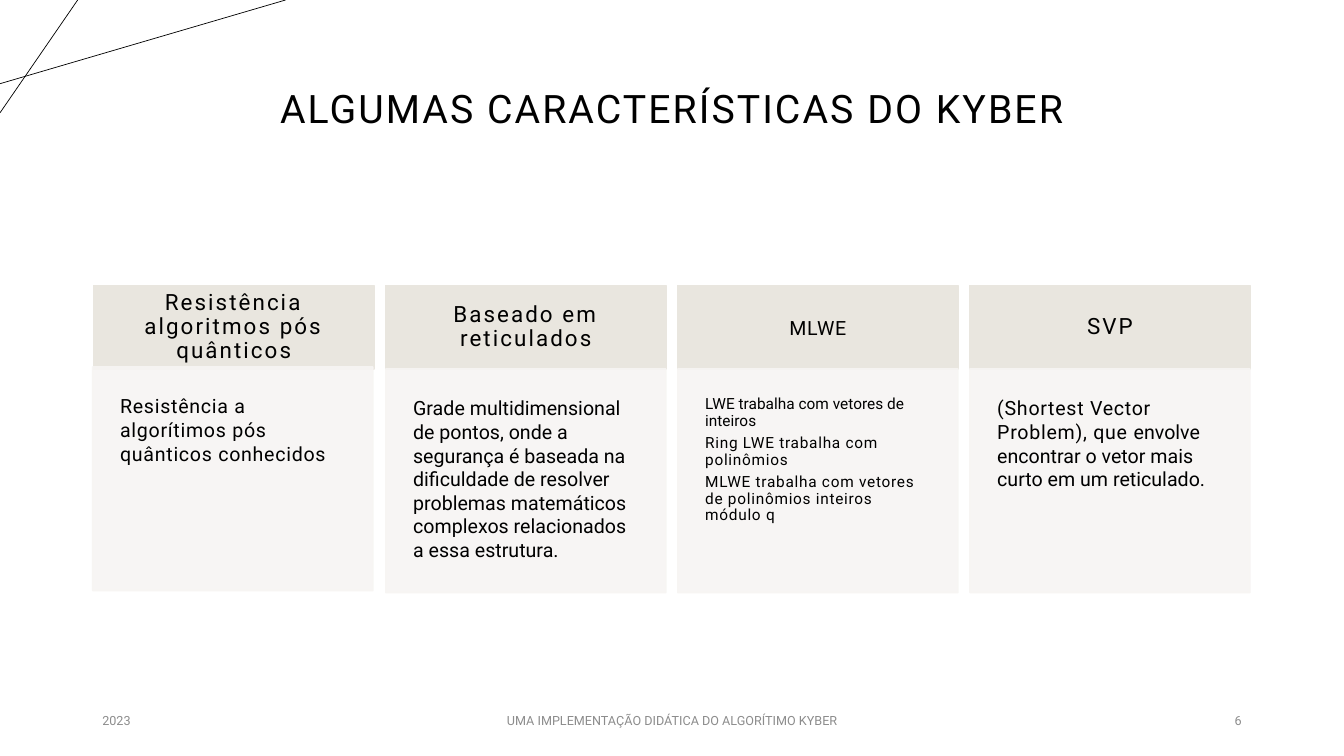
from lxml import etree
from pptx import Presentation
from pptx.dml.color import RGBColor
from pptx.enum.shapes import MSO_CONNECTOR, MSO_SHAPE
from pptx.enum.text import MSO_ANCHOR, PP_ALIGN
from pptx.oxml.ns import qn
from pptx.util import Pt

RECTANGLE = MSO_SHAPE.RECTANGLE
STRAIGHT = MSO_CONNECTOR.STRAIGHT
TOP, MIDDLE = MSO_ANCHOR.TOP, MSO_ANCHOR.MIDDLE
LEFT, CENTER, RIGHT = PP_ALIGN.LEFT, PP_ALIGN.CENTER, PP_ALIGN.RIGHT

FONT = "Roboto"
COLORS = {"text": "000000", "header": "E9E6DF", "body": "F7F5F3", "footer": "8C8C8C"}

# Content: each paragraph is a list of (text, letter spacing) runs
TITLE = [[("ALGUMAS CARACTERÍSTICAS DO KYBER", 1.5)]]
HEADER_FORMAT = {"size": 16, "line_spacing": 0.9}
BODY_FORMAT = {"size": 14}
CARDS = [
    {
        "header": [[("Resistência algoritmos pós quânticos", 1.5)]],
        "body": [[("Resistência a algorítimos pós quânticos conhecidos", 0.5)]],
        "body_shift": (-0.7, -1.4),
    },
    {
        "header": [[("Baseado em reticulados", 1.5)]],
        "body": [[("Grade multidimensional de pontos, onde a segurança é baseada na "
                   "dificuldade de resolver problemas matemáticos complexos "
                   "relacionados a essa estrutura.", 0)]],
    },
    {
        "header": [[("MLWE", 0.5)]],
        "header_format": {"size": 14},
        "body": [
            [("LWE trabalha com vetores de inteiros", 0)],
            [("Ring LWE trabalha com polinômios", 0.5)],
            [("MLWE trabalha com vetores de polinômios inteiros módulo q", 0.5)],
        ],
        "body_format": {"size": 11, "line_spacing": 0.9},
    },
    {
        "header": [[("SVP", 1.5)]],
        "body": [[("(Shortest Vector Problem), que ", 0.5),
                  ("envolve encontrar o vetor mais curto em um reticulado.", 0)]],
    },
]
FOOTERS = [  # text, left, width, alignment
    ("2023", 66, 216, LEFT),
    ("UMA IMPLEMENTAÇÃO DIDÁTICA DO ALGORÍTIMO KYBER", 318, 324, CENTER),
    ("6", 678, 216, RIGHT),
]
CORNER_LINES = [(0, 59.8, 204, 0), (55.5, 0, 0, 80.6)]

# Layout in points
CARD_LEFT, CARD_STEP, CARD_WIDTH = 66.9, 208.6, 200.2
HEADER_TOP, HEADER_HEIGHT = 203.8, 59.8
BODY_TOP, BODY_HEIGHT = 263.5, 159.8
PARAGRAPH_GAP = 4

presentation = Presentation()
presentation.slide_width, presentation.slide_height = Pt(960), Pt(540)
slide = presentation.slides.add_slide(presentation.slide_layouts[6])


def write(shape, paragraphs, size=14, color="text", align=LEFT, anchor=TOP,
          margins=(7.2, 3.6), line_spacing=1.0, gap=0):
    frame = shape.text_frame
    frame.word_wrap = True
    frame.vertical_anchor = anchor
    frame.margin_left = frame.margin_right = Pt(margins[0])
    frame.margin_top = frame.margin_bottom = Pt(margins[1])
    for index, runs in enumerate(paragraphs):
        paragraph = frame.add_paragraph() if index else frame.paragraphs[0]
        paragraph.alignment = align
        paragraph.line_spacing = line_spacing
        paragraph.space_after = Pt(gap)
        for text, spacing in runs:
            run = paragraph.add_run()
            run.text = text
            run.font.name = FONT
            run.font.size = Pt(size)
            run.font.color.rgb = RGBColor.from_string(COLORS[color])
            run.font._element.set("spc", str(int(spacing * 100)))


def add_text(left, top, width, height, paragraphs, **text_format):
    box = slide.shapes.add_textbox(Pt(left), Pt(top), Pt(width), Pt(height))
    write(box, paragraphs, **text_format)


def add_panel(left, top, height, color, opacity=100):
    panel = slide.shapes.add_shape(RECTANGLE, Pt(left), Pt(top), Pt(CARD_WIDTH), Pt(height))
    panel.shadow.inherit = False
    panel.fill.solid()
    panel.line.width = Pt(1)
    for fill in (panel.fill, panel.line.fill):
        fill.solid()
        fill.fore_color.rgb = RGBColor.from_string(COLORS[color])
    if opacity < 100:
        for color_element in panel._element.spPr.iter(qn("a:srgbClr")):
            etree.SubElement(color_element, qn("a:alpha")).set("val", str(opacity * 1000))
    return panel


# Corner lines
for line_ends in CORNER_LINES:
    line = slide.shapes.add_connector(STRAIGHT, *map(Pt, line_ends))
    line.line.width = Pt(0.5)
    line.line.color.rgb = RGBColor.from_string(COLORS["text"])
    etree.SubElement(line._element.spPr, qn("a:effectLst"))

# Title
add_text(66, 26.6, 828, 104.4, TITLE, size=28, align=CENTER, anchor=MIDDLE, line_spacing=0.9)

# Cards
for column, card in enumerate(CARDS):
    left = CARD_LEFT + column * CARD_STEP
    header = add_panel(left, HEADER_TOP, HEADER_HEIGHT, "header")
    write(header, card["header"], align=CENTER, anchor=MIDDLE, margins=(15.8, 0),
          **card.get("header_format", HEADER_FORMAT))
    shift_x, shift_y = card.get("body_shift", (0, 0))
    body = add_panel(left + shift_x, BODY_TOP + shift_y, BODY_HEIGHT, "body", opacity=90)
    write(body, card["body"], margins=(19.6, 19.6), gap=PARAGRAPH_GAP,
          **card.get("body_format", BODY_FORMAT))

# Footer
for text, left, width, align in FOOTERS:
    add_text(left, 500.4, width, 28.8, [[(text, 0)]], size=9, color="footer",
             align=align, anchor=MIDDLE)

presentation.save("out.pptx")
